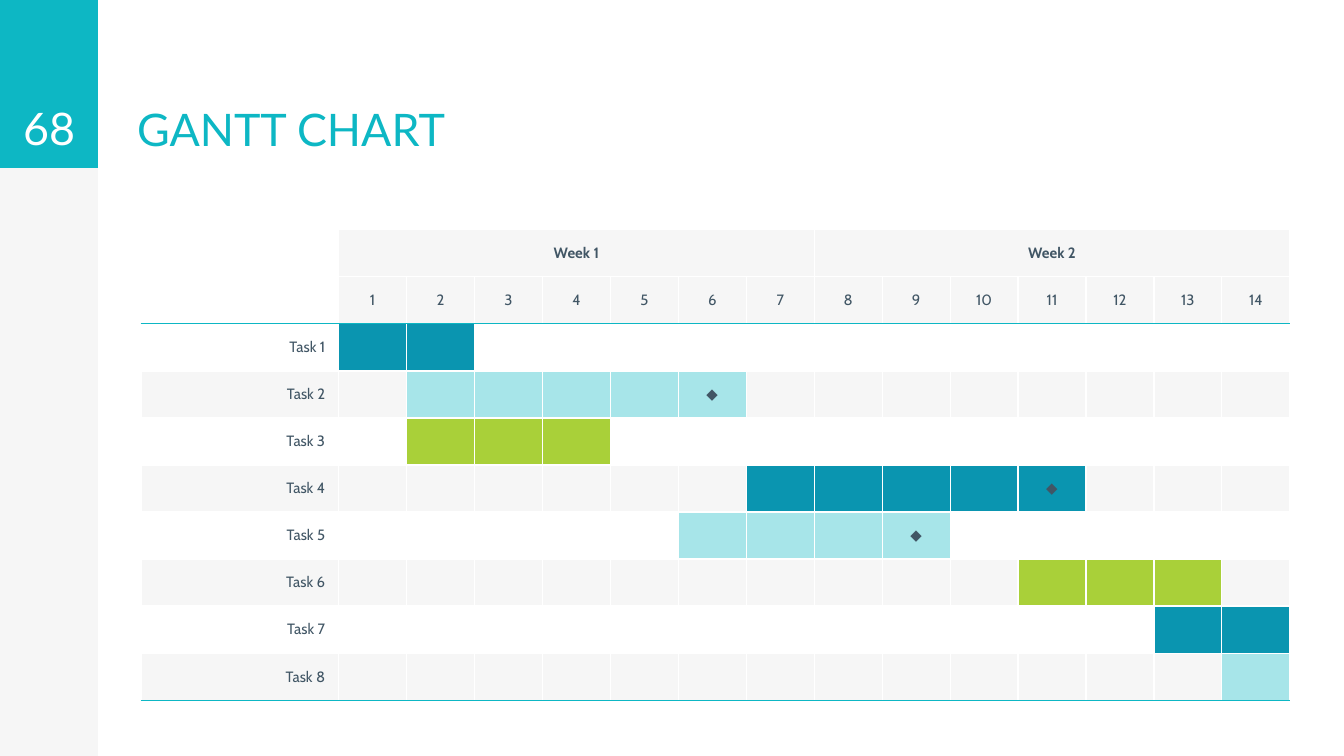
from lxml import etree
from pptx import Presentation
from pptx.dml.color import RGBColor
from pptx.enum.shapes import MSO_SHAPE
from pptx.enum.text import MSO_ANCHOR, MSO_AUTO_SIZE, PP_ALIGN
from pptx.oxml.ns import qn
from pptx.util import Inches, Pt

RECTANGLE = MSO_SHAPE.RECTANGLE
BOTTOM, MIDDLE = MSO_ANCHOR.BOTTOM, MSO_ANCHOR.MIDDLE
LEFT, CENTER, RIGHT = PP_ALIGN.LEFT, PP_ALIGN.CENTER, PP_ALIGN.RIGHT
NO_AUTOFIT = MSO_AUTO_SIZE.NONE

WHITE = RGBColor(0xFF, 0xFF, 0xFF)
PALE = RGBColor(0xF6, 0xF6, 0xF6)
TEAL = RGBColor(0x0D, 0xB7, 0xC4)
BLUE = RGBColor(0x0A, 0x95, 0xB0)
AQUA = RGBColor(0xA7, 0xE5, 0xE9)
GREEN = RGBColor(0xA9, 0xD0, 0x39)
SLATE = RGBColor(0x41, 0x56, 0x65)

DAYS, WEEK, HEADER_ROWS = 14, 7, 2
MILESTONE = "◆"
TASKS = [
    (1, 2, BLUE, False),
    (2, 6, AQUA, True),
    (2, 4, GREEN, False),
    (7, 11, BLUE, True),
    (6, 9, AQUA, True),
    (11, 13, GREEN, False),
    (13, 14, BLUE, False),
    (14, 14, AQUA, False),
]


def write(frame, text, size, font, color, align, bold=False):
    para = frame.paragraphs[0]
    para.text = text
    para.alignment = align
    para.font.size = Pt(size)
    para.font.name = font
    para.font.color.rgb = color
    para.font.bold = bold


def add_border(cell, side, color):
    properties = cell._tc.get_or_add_tcPr()
    line = etree.SubElement(properties, qn(f"a:ln{side}"), w=str(Pt(0.75)))
    fill = etree.SubElement(line, qn("a:solidFill"))
    etree.SubElement(fill, qn("a:srgbClr"), val=str(color))


deck = Presentation()
deck.slide_width = Inches(10)
deck.slide_height = deck.slide_width * 9 // 16
page = deck.slides.add_slide(deck.slide_layouts[5])

side_width, band_height = Inches(0.73), Inches(1.25)
for height, color in ((deck.slide_height, PALE), (band_height, TEAL)):
    panel = page.shapes.add_shape(RECTANGLE, 0, 0, side_width, height)
    panel.shadow.inherit = False
    panel.fill.solid()
    panel.fill.fore_color.rgb = color
    panel.line.fill.background()

title = page.shapes.title
title.left, title.top = Inches(0.92), Inches(0.01)
title.width, title.height = Inches(3.89), band_height
number = page.shapes.add_textbox(0, 0, side_width, band_height)
for box, text, color, align in (
    (title, "GANTT CHART", TEAL, LEFT),
    (number, "68", WHITE, CENTER),
):
    frame = box.text_frame
    frame.word_wrap = True
    frame.auto_size = NO_AUTOFIT
    frame.vertical_anchor = BOTTOM
    frame.margin_left = frame.margin_right = Inches(0.1)
    frame.margin_top = frame.margin_bottom = Inches(0.1)
    write(frame, text, 24, "Lato", color, align)

row_count = HEADER_ROWS + len(TASKS)
table_width, table_height = Inches(8.55), Inches(3.5)
label_width = Inches(1.47)
gantt = page.shapes.add_table(
    row_count, DAYS + 1, Inches(1.05), Inches(1.71), table_width, table_height
).table
gantt.first_row = gantt.horz_banding = False
gantt.columns[0].width = label_width
for day in range(1, DAYS + 1):
    gantt.columns[day].width = (table_width - label_width) // DAYS

for row in range(row_count):
    gantt.rows[row].height = table_height // row_count
    for day in range(DAYS + 1):
        cell = gantt.cell(row, day)
        text, align, bold = "", CENTER, False
        if row < HEADER_ROWS:
            color = PALE if day else None
            if row == 0 and day % WEEK == 1:
                text, bold = f"Week {day // WEEK + 1}", True
            elif row == 1 and day:
                text = str(day)
        else:
            task = row - HEADER_ROWS
            start, end, bar_color, has_milestone = TASKS[task]
            color = PALE if task % 2 else None
            if day == 0:
                text, align = f"Task {task + 1}", RIGHT
            elif start <= day <= end:
                color = bar_color
                if has_milestone and day == end:
                    text = MILESTONE

        add_border(cell, "L", WHITE)
        add_border(cell, "R", WHITE)
        add_border(cell, "T", TEAL if row == HEADER_ROWS else WHITE)
        add_border(cell, "B", TEAL if row in (HEADER_ROWS - 1, row_count - 1) else WHITE)
        if color is None:
            cell.fill.background()
        else:
            cell.fill.solid()
            cell.fill.fore_color.rgb = color
        cell.vertical_anchor = MIDDLE
        cell.margin_left = cell.margin_right = Inches(0.1)
        cell.margin_top = cell.margin_bottom = Inches(0.05 if text else 0)
        write(cell.text_frame, text, 8, "Cabin", SLATE, align, bold)

for first_day in range(1, DAYS + 1, WEEK):
    gantt.cell(0, first_day).merge(gantt.cell(0, first_day + WEEK - 1))

deck.save("out.pptx")
